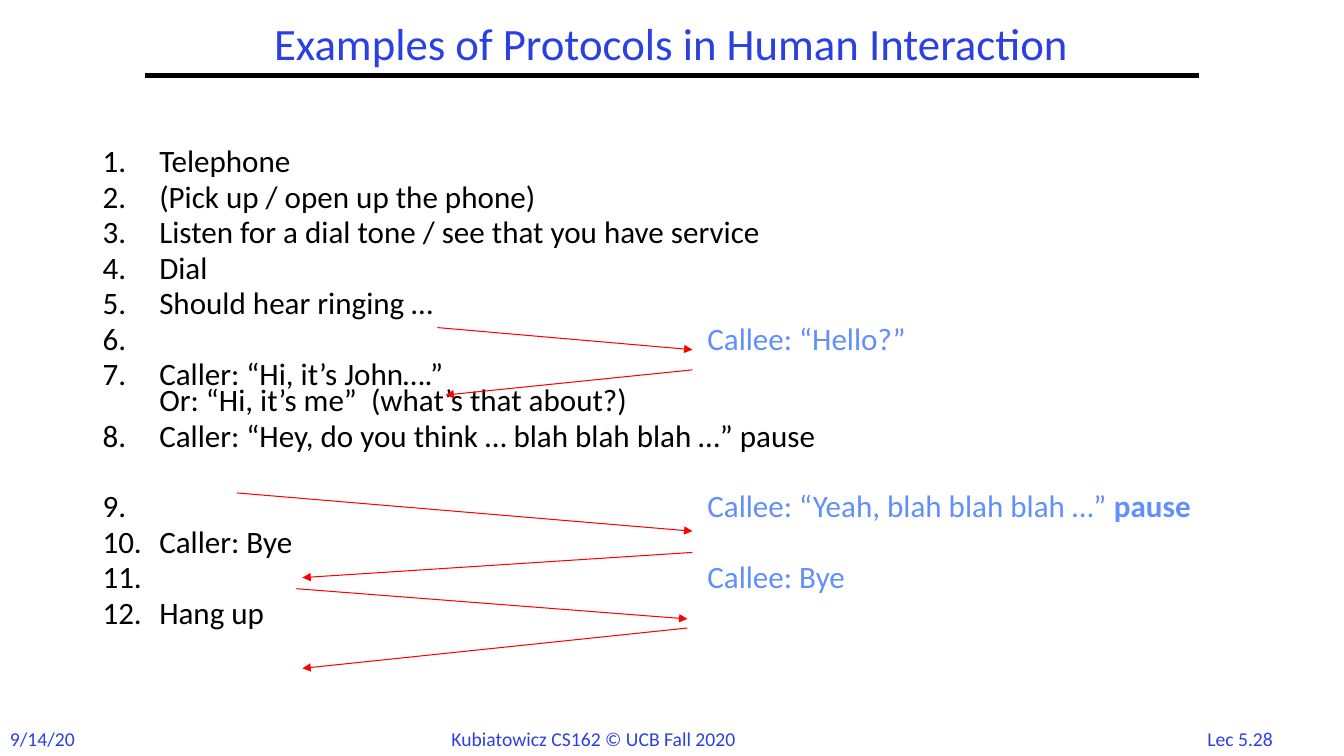
from lxml import etree
from pptx import Presentation
from pptx.dml.color import RGBColor
from pptx.enum.shapes import MSO_CONNECTOR
from pptx.enum.text import MSO_ANCHOR, PP_ALIGN
from pptx.oxml.ns import qn
from pptx.util import Pt

STRAIGHT = MSO_CONNECTOR.STRAIGHT
MIDDLE = MSO_ANCHOR.MIDDLE
LEFT, CENTER = PP_ALIGN.LEFT, PP_ALIGN.CENTER
BLUE, CALLEE_BLUE, BLACK, RED = "2A40E2", "618FFD", "000000", "FF0000"
CALLER_INDENT, CALLEE_INDENT = 40.5, 432


def color(hex_value):
    return RGBColor.from_string(hex_value)


class ProtocolSlide:
    font = "Calibri"
    step_size = 22.2
    step_gap = 6.66

    def __init__(self, deck):
        self.slide = deck.slides.add_slide(deck.slide_layouts[5])

    def run(self, paragraph, text, size, hex_value, bold=False):
        run = paragraph.add_run()
        run.text = text
        run.font.name = self.font
        run.font.size = Pt(size)
        run.font.bold = bold
        run.font.color.rgb = color(hex_value)

    def title(self, text, left, top, width, height):
        heading = self.slide.shapes.title
        heading.left, heading.top = Pt(left), Pt(top)
        heading.width, heading.height = Pt(width), Pt(height)
        heading.text_frame.vertical_anchor = MIDDLE
        paragraph = heading.text_frame.paragraphs[0]
        paragraph.alignment = CENTER
        paragraph.line_spacing = 0.9
        self.run(paragraph, text, 32, BLUE)

    def text_box(self, left, top, width, height, wrap):
        box = self.slide.shapes.add_textbox(Pt(left), Pt(top), Pt(width), Pt(height))
        box.text_frame.word_wrap = wrap
        return box.text_frame

    def footer(self, text, left, width, alignment):
        paragraph = self.text_box(left, 515.5, width, 24.5, False).paragraphs[0]
        paragraph.alignment = alignment
        self.run(paragraph, text, 14, BLUE)

    def steps(self, items, left, top, width, height):
        frame = self.text_box(left, top, width, height, True)
        for index, (lines, indent, extra_gap) in enumerate(items):
            paragraph = frame.add_paragraph() if index else frame.paragraphs[0]
            paragraph.line_spacing = 0.7
            paragraph.space_before = Pt(self.step_gap + extra_gap)
            properties = paragraph._p.get_or_add_pPr()
            properties.set("marL", str(Pt(indent)))
            properties.set("indent", str(-Pt(indent)))
            etree.SubElement(properties, qn("a:buClr")).append(
                etree.Element(qn("a:srgbClr"), val=BLACK))
            etree.SubElement(properties, qn("a:buFont"), typeface=self.font)
            etree.SubElement(properties, qn("a:buAutoNum"), type="arabicPeriod")
            for line_number, runs in enumerate(lines):
                if line_number:
                    paragraph.add_line_break()
                for text, hex_value, bold in runs:
                    self.run(paragraph, text, self.step_size, hex_value, bold)

    def line(self, start, end, hex_value, weight, arrow=False):
        line = self.slide.shapes.add_connector(STRAIGHT, *map(Pt, start + end))
        line.line.color.rgb = color(hex_value)
        line.line.width = Pt(weight)
        if arrow:
            etree.SubElement(line.line._get_or_add_ln(), qn("a:tailEnd"), type="triangle")
        etree.SubElement(line._element.spPr, qn("a:effectLst"))


def caller(*lines):
    return [[(text, BLACK, False)] for text in lines], CALLER_INDENT, 0


def callee(text, ending="", gap=0):
    runs = [(text, CALLEE_BLUE, False)]
    if ending:
        runs.append((ending, CALLEE_BLUE, True))
    return [runs], CALLEE_INDENT, gap


STEPS = [
    caller("Telephone"),
    caller("(Pick up / open up the phone)"),
    caller("Listen for a dial tone / see that you have service"),
    caller("Dial"),
    caller("Should hear ringing …"),
    callee("Callee: “Hello?”"),
    caller("Caller: “Hi, it’s John….”", "Or: “Hi, it’s me”  (what’s that about?)"),
    caller("Caller: “Hey, do you think … blah blah blah …” pause"),
    callee("Callee: “Yeah, blah blah blah …” ", "pause", gap=25.3),
    caller("Caller: Bye"),
    callee("Callee: Bye"),
    caller("Hang up"),
]

MESSAGES = [
    ((312.5, 234), (494.6, 249.8)),
    ((494.6, 264.2), (318.2, 282.2)),
    ((169.2, 352.1), (494.6, 379.4)),
    ((494.6, 394.6), (216, 412.6)),
    ((211.7, 420.5), (491, 442.1)),
    ((491, 448.6), (216, 477.4)),
]


def main():
    deck = Presentation()
    deck.slide_width, deck.slide_height = Pt(960), Pt(540)
    page = ProtocolSlide(deck)
    page.footer("Lec 5.28", 851, 69.8, CENTER)
    page.footer("9/14/20", 0, 61.2, LEFT)
    page.line((103.7, 54), (856.1, 54), BLACK, 3)
    page.footer("Kubiatowicz CS162 © UCB Fall 2020", 315.4, 247, LEFT)
    page.title("Examples of Protocols in Human Interaction", 103.7, 12.2, 751.7, 41.8)
    page.steps(STEPS, 66.2, 105.1, 828, 400.3)
    for start, end in MESSAGES:
        page.line(start, end, RED, 0.75, arrow=True)
    deck.save("out.pptx")


if __name__ == "__main__":
    main()
